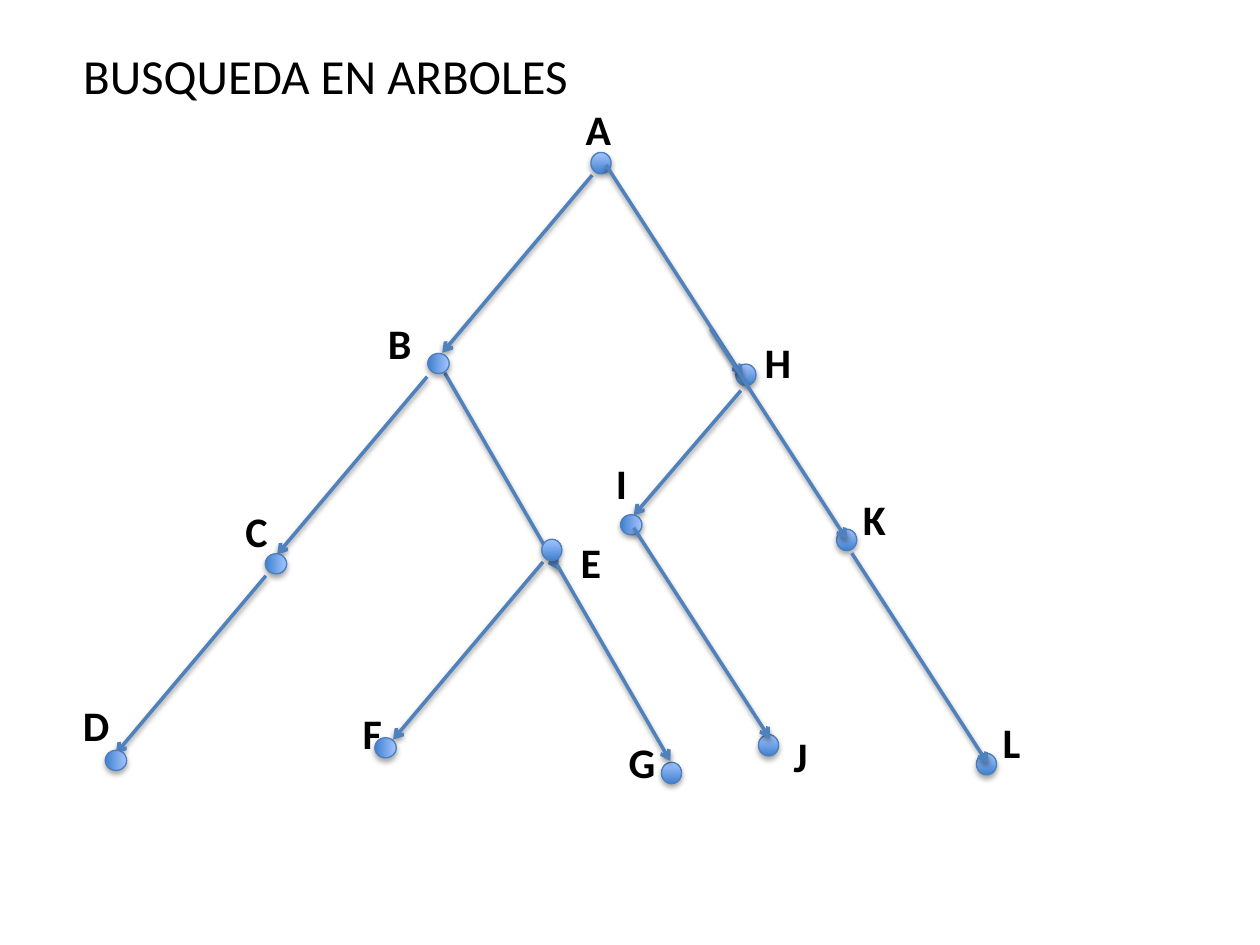
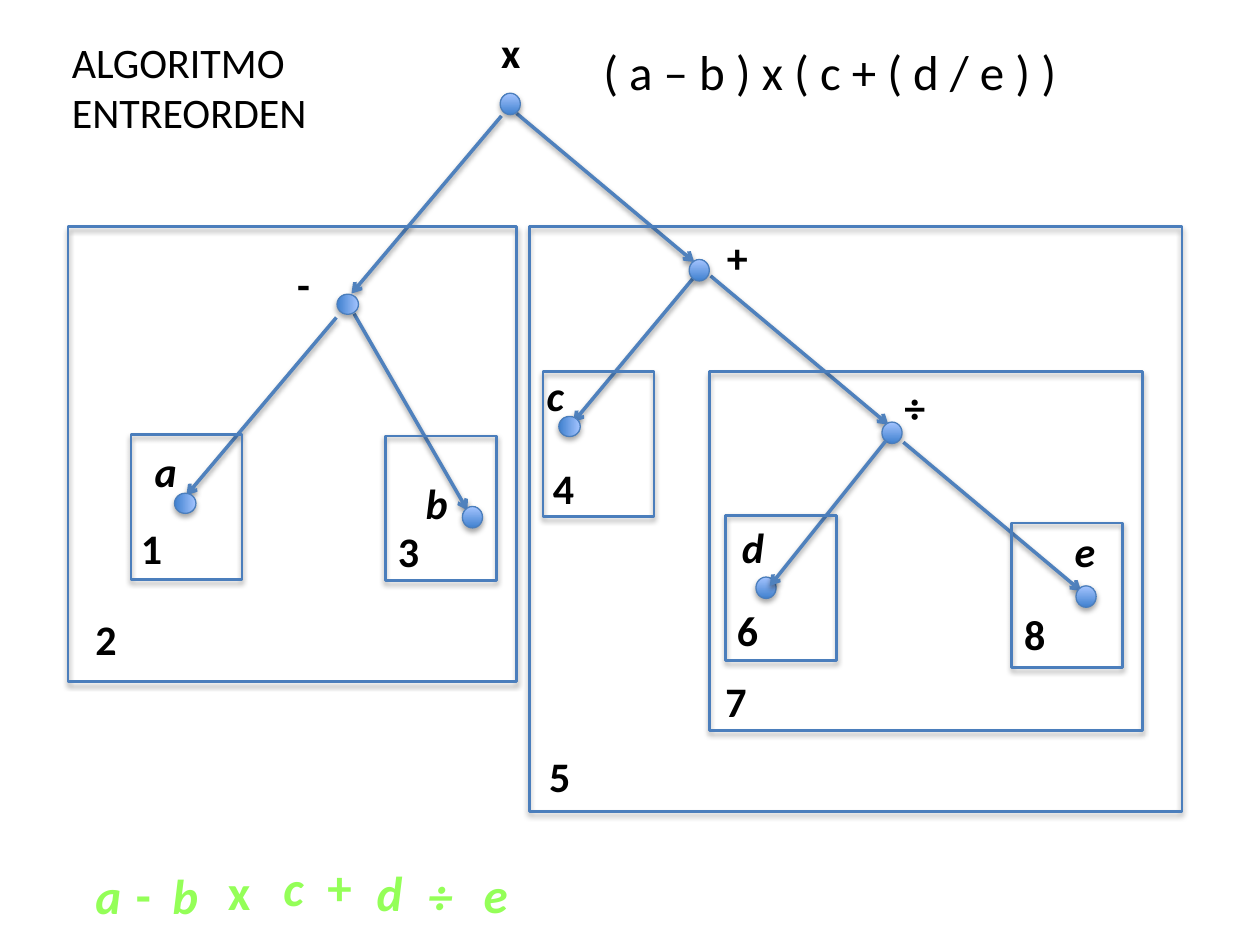
from lxml import etree
from pptx import Presentation
from pptx.dml.color import RGBColor
from pptx.enum.shapes import MSO_CONNECTOR, MSO_SHAPE
from pptx.enum.text import MSO_ANCHOR, MSO_AUTO_SIZE, PP_ALIGN
from pptx.oxml import parse_xml
from pptx.oxml.ns import qn
from pptx.util import Inches, Pt

ELLIPSE, RECTANGLE = MSO_SHAPE.OVAL, MSO_SHAPE.RECTANGLE
STRAIGHT = MSO_CONNECTOR.STRAIGHT
TOP, LEFT_ALIGN = MSO_ANCHOR.TOP, PP_ALIGN.LEFT
GROW = MSO_AUTO_SIZE.SHAPE_TO_FIT_TEXT

FONT = "Calibri"
BLACK = RGBColor(0x00, 0x00, 0x00)
NODE_DARK = RGBColor(0x3F, 0x80, 0xCE)
NODE_LIGHT = RGBColor(0xA4, 0xC4, 0xFF)
OUTLINE = RGBColor(0x4B, 0x7E, 0xBC)
ARROW = RGBColor(0x4F, 0x81, 0xBD)
GREEN = RGBColor(0x94, 0xFF, 0x58)
DARK_GREEN = RGBColor(0x29, 0x5E, 0x12)
DRAWING = "http://schemas.openxmlformats.org/drawingml/2006/main"

# The slide is a grid of 100 columns by 75 rows
CELL = Inches(0.1)
NODE_SIZE = (1.6, 1.7)
LABEL_SIZE = (6.7, 5)
NUMBER_SIZE = (4.3, 5)
RESULT_SIZE = (4.3, 5.7)
LEAF_BOX = (8.8, 11.5)

# Directions of the branches: columns across, rows down
LEFT = (-11.9, 14.1)
STEEP = (9, 15.6)
SLOPE = (10.8, 16.7)
SLANT = (14.1, 11.8)

# Node: name, column, row, label column, label row, rotation
# Branch: column, row, direction; "over" branches lie on top of the nodes
search_tree = {
    "title": ("BUSQUEDA EN ARBOLES", 28, (5.6, 3.1, 54.5, 5.7)),
    "under": [
        (47, 13.9, LEFT), (33.9, 29.9, LEFT), (21.1, 45.7, LEFT),
        (43.1, 44.6, LEFT), (58.8, 31, (-8.5, 9.9)), (35.3, 29.6, STEEP),
    ],
    "nodes": [
        ("A", 46.9, 12.1, 45.5, 7.7, 0),
        ("B", 34, 28, 29.8, 24.7, 90),
        ("C", 21.1, 43.9, 18.5, 39.6, 90),
        ("D", 8.4, 59.5, 5.6, 55, 90),
        ("E", 43, 42.8, 45.1, 42.1, 0),
        ("F", 29.8, 58.5, 27.8, 55.7, 90),
        ("G", 52.5, 60.5, 48.9, 58, 0),
        ("H", 58.4, 28.9, 59.7, 26.2, 0),
        ("I", 49.3, 40.8, 47.9, 35.8, 90),
        ("J", 60.2, 58.3, 62, 57.5, 0),
        ("K", 66.4, 42, 67.5, 38.7, 0),
        ("L", 77.5, 59.8, 78.6, 56.4, 0),
    ],
    "over": [
        (44.2, 44.8, STEEP), (50.3, 41.9, SLOPE), (48.1, 13.1, SLOPE),
        (56.4, 26.1, SLOPE), (67.6, 43.9, SLOPE),
    ],
    "boxes": [], "numbers": [], "formula": [], "result": [],
}
expression_tree = {
    "title": ("ALGORITMO ENTREORDEN", 24, (4.7, 2.4, 28.1, 9.1)),
    "under": [
        (41, 9, SLANT), (56.4, 21.9, SLANT), (71.7, 35.1, SLANT),
        (39.8, 9.2, LEFT), (26.7, 25.2, LEFT), (28.1, 24.9, STEEP),
        (55, 22.1, (-9.5, 11.4)),
    ],
    "nodes": [
        ("x", 39.7, 7.4, 38.8, 1.6, 0),
        ("-", 26.8, 23.3, 22.6, 20, 90),
        ("a", 13.9, 39.1, 11.3, 34.9, 90),
        ("b", 36.7, 40.2, 32.8, 37.4, 0),
        ("+", 54.7, 20.6, 56.7, 17.9, 0),
        ("c", 44.4, 33, 42.4, 28.8, 90),
        ("÷", 70, 33.5, 70.8, 29.8, 0),
        ("d", 60, 45.8, 57.9, 40.9, 0),
        ("e", 85.4, 46.5, 84.3, 41.2, 0),
    ],
    "over": [(70.3, 35, (-9.2, 11.5))],
    "boxes": [
        (10.4, 34.5, *LEAF_BOX), (30.6, 34.6, *LEAF_BOX),
        (43.1, 29.5, *LEAF_BOX), (57.6, 40.9, *LEAF_BOX),
        (80.3, 41.5, *LEAF_BOX), (56.3, 29.5, 34.4, 28.5),
        (42, 18, 51.8, 46.4), (5.4, 18, 35.6, 36.1),
    ],
    "numbers": [
        (10.2, 41), (6.6, 48.2), (30.6, 41.2), (42.9, 36.2),
        (42.6, 59.1), (57.5, 47.5), (56.6, 53.1), (80.3, 47.8),
    ],
    "formula": [("( a – b ) x ( c + ( d / e ) )", (46.9, 2.8, 49.4, 5.7))],
    "result": [
        ("a", 6.6, 68.2), ("-", 9.8, 68.1), ("b", 12.7, 68.2),
        ("x", 17.1, 67.9), ("c", 21.5, 67.6), ("+", 25, 67.5),
        ("d", 28.9, 68), ("÷", 33, 68.2), ("e", 37.4, 68.1),
    ],
}


def add_shadow(shape, opacity, distance):
    """Soft shadow straight below; call after the fill and line are set."""
    shape._element.spPr.append(parse_xml(
        f'<a:effectLst xmlns:a="{DRAWING}">'
        f'<a:outerShdw blurRad="{Pt(3.1)}" dist="{Pt(distance)}" dir="5400000" rotWithShape="0">'
        f'<a:srgbClr val="{BLACK}"><a:alpha val="{opacity * 1000}"/></a:srgbClr>'
        '</a:outerShdw></a:effectLst>'))


def write(slide, text, place, size, color=BLACK, bold=False, italic=False, box=None):
    """Put one paragraph in the given shape, or in a new text box."""
    if box is None:
        box = slide.shapes.add_textbox(0, 0, 0, 0)
    box.left, box.top, box.width, box.height = [round(n * CELL) for n in place]
    frame = box.text_frame
    frame.word_wrap = True
    frame.auto_size = GROW
    frame.vertical_anchor = TOP
    paragraph = frame.paragraphs[0]
    paragraph.alignment = LEFT_ALIGN
    run = paragraph.add_run()
    run.text = text
    font = paragraph.font
    font.name, font.size, font.bold, font.italic = FONT, Pt(size), bold, italic
    font.color.rgb = color
    return run


presentation = Presentation()
presentation.slide_width = 100 * CELL
presentation.slide_height = 75 * CELL
title_only = presentation.slide_layouts[5]

for tree in (search_tree, expression_tree):
    slide = presentation.slides.add_slide(title_only)
    shapes = slide.shapes
    text, size, place = tree["title"]
    write(slide, text, place, size, box=shapes.title)

    # Branches and nodes, from back to front
    for layer in ("under", "nodes", "over"):
        if layer == "nodes":
            for name, column, row, label_column, label_row, rotation in tree["nodes"]:
                node = shapes.add_shape(
                    ELLIPSE, *[round(n * CELL) for n in (column, row, *NODE_SIZE)])
                node.rotation = rotation
                node.fill.gradient()
                node.fill.gradient_angle = 90
                for stop, color in zip(node.fill.gradient_stops, (NODE_DARK, NODE_LIGHT)):
                    stop.color.rgb = color
                node.line.color.rgb = OUTLINE
                node.line.width = Pt(0.75)
                add_shadow(node, 35, 1.8)
                write(slide, name, (label_column, label_row, *LABEL_SIZE), 24,
                      bold=True, italic=name in "abcde")
            continue
        for column, row, (across, down) in tree[layer]:
            ends = (column, row, column + across, row + down)
            branch = shapes.add_connector(STRAIGHT, *[round(n * CELL) for n in ends])
            branch.line.color.rgb = ARROW
            branch.line.width = Pt(2)
            etree.SubElement(branch.line._get_or_add_ln(), qn("a:tailEnd"), type="arrow")
            add_shadow(branch, 38, 1.6)

    # Frames around the subtrees, numbered in visiting order
    for place in tree["boxes"]:
        box = shapes.add_shape(RECTANGLE, *[round(n * CELL) for n in place])
        box.fill.background()
        box.line.color.rgb = OUTLINE
        box.line.width = Pt(1.5)
        add_shadow(box, 35, 1.8)
    for number, corner in enumerate(tree["numbers"], start=1):
        write(slide, str(number), (*corner, *NUMBER_SIZE), 24, bold=True)

    # Formula and the symbols in the order they are visited
    for text, place in tree["formula"]:
        write(slide, text, place, 28)
    for symbol, column, row in tree["result"]:
        run = write(slide, symbol, (column, row, *RESULT_SIZE), 28, GREEN,
                    bold=True, italic=symbol in "abcde÷")
        run._r.get_or_add_rPr().insert(0, parse_xml(
            f'<a:ln xmlns:a="{DRAWING}" w="{Pt(0.75)}"><a:solidFill>'
            f'<a:srgbClr val="{DARK_GREEN}"/></a:solidFill></a:ln>'))

presentation.save("out.pptx")
